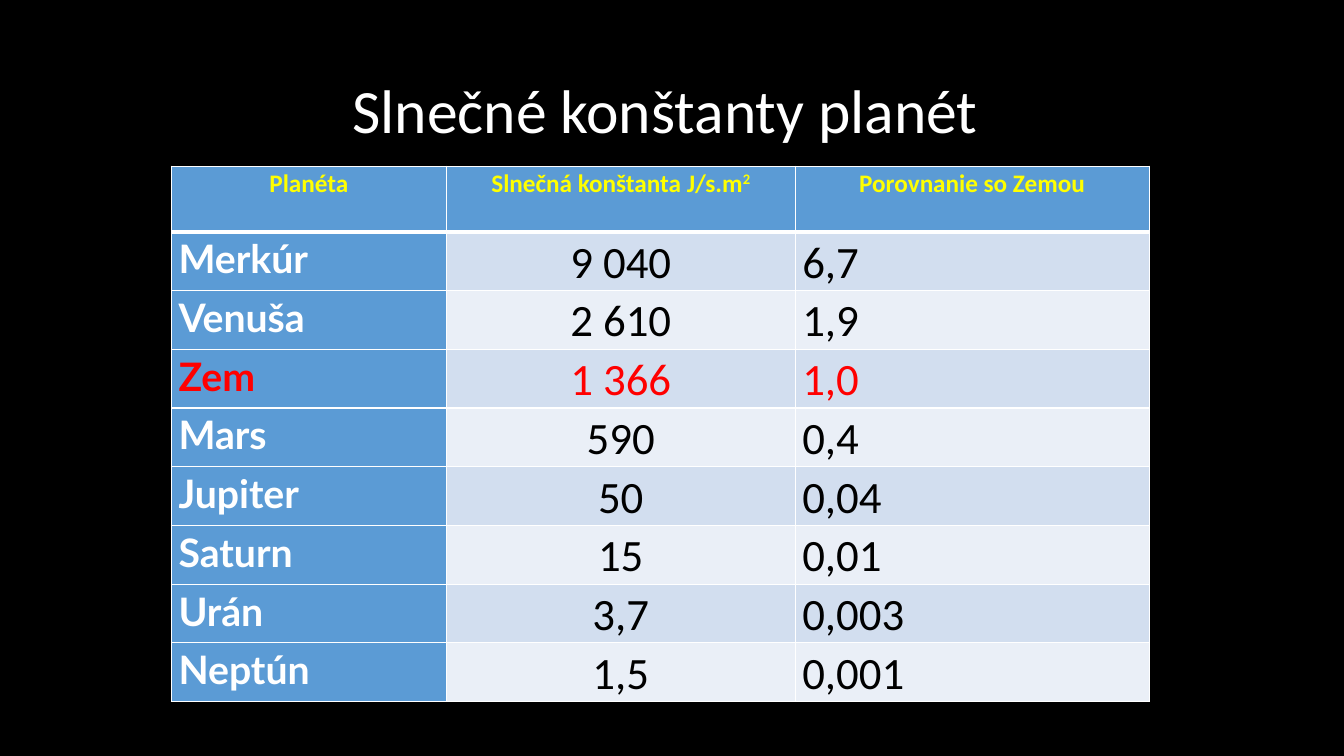
from dataclasses import dataclass
from lxml import etree
from pptx import Presentation, util as u
from pptx.dml.color import RGBColor
from pptx.enum import text
from pptx.oxml import ns

BLACK = RGBColor(0x00, 0x00, 0x00)
WHITE = RGBColor(0xFF, 0xFF, 0xFF)
YELLOW = RGBColor(0xFF, 0xFF, 0x00)
RED = RGBColor(0xFF, 0x00, 0x00)
BLUE = RGBColor(0x5B, 0x9B, 0xD5)
BANDS = (RGBColor(0xD2, 0xDE, 0xEF), RGBColor(0xEA, 0xEF, 0xF7))

LEFT = text.PP_ALIGN.LEFT
MID = text.PP_ALIGN.CENTER
WIDTHS = (6.93, 8.79, 8.92)
HEAD_TALL = 1.65
ROW_TALL = 1.48


@dataclass(frozen=True)
class Planet:
    name: str
    flux: str
    ratio: str
    home: bool = False


@dataclass(frozen=True)
class Style:
    face: str
    size: int
    bold: bool
    align: text.PP_ALIGN


HEAD = Style("Calibri", 18, True, MID)
NAME = Style("Lato", 28, True, LEFT)
FLUX = Style("Calibri", 32, False, MID)
RATIO = Style("Calibri", 32, False, LEFT)
TITLE = Style("Calibri", 44, False, MID)

LABELS = (("Planéta", ""), ("Slnečná konštanta J/s.m", "2"), ("Porovnanie so Zemou", ""))
PLANETS = (
    Planet("Merkúr", "9 040", "6,7"),
    Planet("Venuša", "2 610", "1,9"),
    Planet("Zem", "1 366", "1,0", home=True),
    Planet("Mars", "590", "0,4"),
    Planet("Jupiter", "50", "0,04"),
    Planet("Saturn", "15", "0,01"),
    Planet("Urán", "3,7", "0,003"),
    Planet("Neptún", "1,5", "0,001"),
)


def write(frame, words: str, style: Style, color: RGBColor, space: float, power: str = "") -> None:
    para = frame.paragraphs[0]
    para.alignment = style.align
    para.line_spacing = space
    font = para.font
    font.name, font.size, font.bold = style.face, u.Pt(style.size), style.bold
    font.color.rgb = color
    para.add_run().text = words
    if power:
        run = para.add_run()
        run.text = power
        run.font._element.set("baseline", "30000")


def edge(cell, top: int, base: int) -> None:
    props = cell._tc.get_or_add_tcPr()
    for side, width in (("L", 1), ("R", 1), ("T", top), ("B", base)):
        line = etree.SubElement(props, ns.qn(f"a:ln{side}"), w=str(u.Pt(width)))
        fill = etree.SubElement(line, ns.qn("a:solidFill"))
        etree.SubElement(fill, ns.qn("a:srgbClr"), val=str(WHITE))


def dress(cell, fill: RGBColor, top: int = 1, base: int = 1) -> None:
    cell.margin_left = cell.margin_right = u.Cm(0.18)
    cell.margin_top = cell.margin_bottom = 0
    edge(cell, top, base)
    cell.fill.solid()
    cell.fill.fore_color.rgb = fill


def add_title(slide) -> None:
    title = slide.shapes.title
    title.left, title.top = u.Cm(2.34), u.Cm(1.02)
    title.width, title.height = u.Cm(29.21), u.Cm(3.68)
    frame = title.text_frame
    frame.auto_size = text.MSO_AUTO_SIZE.NONE
    frame.vertical_anchor = text.MSO_ANCHOR.MIDDLE
    write(frame, "Slnečné konštanty planét ", TITLE, WHITE, 0.9)


def add_grid(slide) -> None:
    tall = HEAD_TALL + ROW_TALL * len(PLANETS)
    grid = slide.shapes.add_table(
        len(PLANETS) + 1, len(WIDTHS), u.Cm(4.32), u.Cm(4.19), u.Cm(sum(WIDTHS)), u.Cm(tall)
    ).table
    for col, width in zip(grid.columns, WIDTHS):
        col.width = u.Cm(width)
    for row in grid.rows:
        row.height = u.Cm(ROW_TALL)
    grid.rows[0].height = u.Cm(HEAD_TALL)

    for col, (label, power) in enumerate(LABELS):
        cell = grid.cell(0, col)
        dress(cell, BLUE, base=3)
        write(cell.text_frame, label, HEAD, YELLOW, 1.07, power)

    for row, planet in enumerate(PLANETS, 1):
        band = BANDS[(row - 1) % 2]
        parts = (
            (planet.name, NAME, WHITE, BLUE),
            (planet.flux, FLUX, BLACK, band),
            (planet.ratio, RATIO, BLACK, band),
        )
        for col, (words, style, color, fill) in enumerate(parts):
            cell = grid.cell(row, col)
            dress(cell, fill, top=3 if row == 1 else 1)
            write(cell.text_frame, words, style, RED if planet.home else color, 1.07)


def main() -> None:
    deck = Presentation()
    deck.slide_width, deck.slide_height = u.Cm(33.87), u.Cm(19.05)
    slide = deck.slides.add_slide(deck.slide_layouts.get_by_name("Title Only"))
    slide.background.fill.solid()
    slide.background.fill.fore_color.rgb = BLACK
    add_title(slide)
    add_grid(slide)
    deck.save("out.pptx")


if __name__ == "__main__":
    main()
